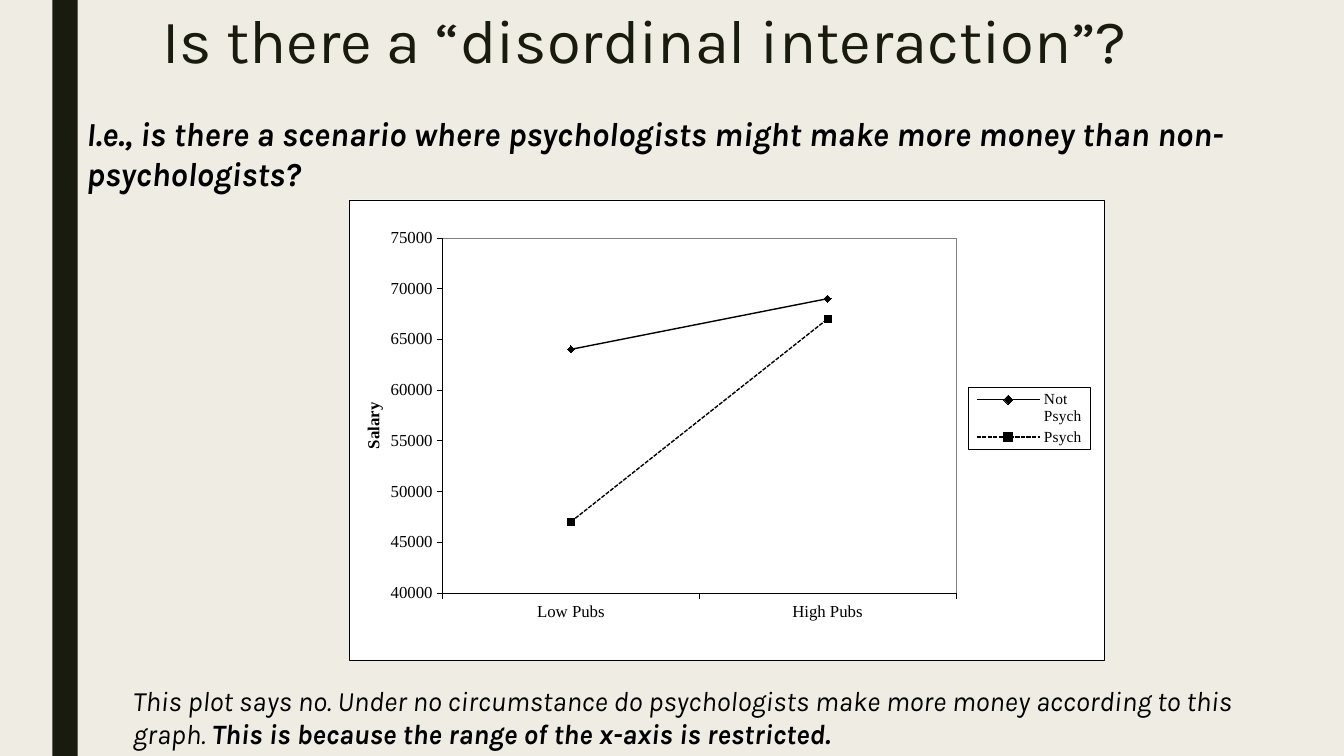
"""Build a slide on disordinal interaction with a two-line salary chart."""
from typing import NamedTuple

from lxml import etree
from pptx import Presentation
from pptx import util as u
from pptx.chart import data as cd
from pptx.dml.color import RGBColor
from pptx.enum import chart as ec
from pptx.enum import dml, shapes, text

PAPER = RGBColor(0xEF, 0xED, 0xE3)
INK = RGBColor(0x19, 0x1B, 0x0E)
BLACK = RGBColor(0, 0, 0)
SANS, SERIF = "Karla", "Times New Roman"
C = "http://schemas.openxmlformats.org/drawingml/2006/chart"
A = "http://schemas.openxmlformats.org/drawingml/2006/main"


class Box(NamedTuple):
    left: float
    top: float
    width: float
    height: float

    def place(self) -> list:
        return [u.Inches(side) for side in self]


class Run(NamedTuple):
    words: str
    bold: bool


class Note(NamedTuple):
    box: Box
    size: int
    runs: list


class Line(NamedTuple):
    name: str
    pay: tuple
    mark: ec.XL_MARKER_STYLE
    dash: dml.MSO_LINE


NOTES = [
    Note(Box(0.76, 1.07, 12.57, 0.91), 24, [
        Run("I.e., is there a scenario where psychologists might make more "
            "money than non-psychologists?", True)]),
    Note(Box(1.22, 6.73, 11.58, 0.77), 20, [
        Run("This plot says no. Under no circumstance do psychologists make "
            "more money according to this graph. ", False),
        Run("This is because the range of the x-axis is restricted.", True)]),
]
LINES = [
    Line("Not Psych", (64000, 69000), ec.XL_MARKER_STYLE.DIAMOND,
         dml.MSO_LINE.SOLID),
    Line("Psych", (47000, 67000), ec.XL_MARKER_STYLE.SQUARE,
         dml.MSO_LINE.SQUARE_DOT),
]


def apply(item: object, **props: object) -> None:
    for key, value in props.items():
        setattr(item, key, value)


def style(font: object, name: str, size: int, color: RGBColor = BLACK,
          **props: object) -> None:
    apply(font, name=name, size=u.Pt(size), **props)
    font.color.rgb = color


def paint(item: object, color: RGBColor) -> None:
    item.fill.solid()
    item.fill.fore_color.rgb = color


def write(slide: object, note: Note) -> None:
    frame = slide.shapes.add_textbox(*note.box.place()).text_frame
    frame.word_wrap = True
    for part in note.runs:
        run = frame.paragraphs[0].add_run()
        run.text = part.words
        style(run.font, SANS, note.size, bold=part.bold, italic=True)


def frame(edge: str) -> etree.ElementBase:
    return etree.fromstring(
        f'<c:spPr xmlns:c="{C}" xmlns:a="{A}"><a:solidFill>'
        f'<a:srgbClr val="FFFFFF"/></a:solidFill><a:ln w="3175"><a:solidFill>'
        f'<a:srgbClr val="{edge}"/></a:solidFill></a:ln></c:spPr>')


def layout(inner: bool = False, **parts: float) -> etree.ElementBase:
    rows = '<c:layoutTarget val="inner"/>' if inner else ""
    rows += "".join(f'<c:{key}Mode val="edge"/>' for key in "xy")
    rows += "".join(f'<c:{key} val="{val / 100:.3f}"/>'
                    for key, val in parts.items())
    return etree.fromstring(f'<c:layout xmlns:c="{C}"><c:manualLayout>{rows}'
                            f'</c:manualLayout></c:layout>')


def seat(parent: object, index: int, place: object) -> None:
    for old in parent.findall(f"{{{C}}}layout"):
        parent.remove(old)
    parent.insert(index, place)


def plot(slide: object) -> None:
    data = cd.CategoryChartData()
    data.categories = ["Low Pubs", "High Pubs"]
    for line in LINES:
        data.add_series(line.name, line.pay)
    box = Box(3.46, 1.98, 7.49, 4.57)
    chart = slide.shapes.add_chart(
        ec.XL_CHART_TYPE.LINE_MARKERS, *box.place(), data).chart
    apply(chart, has_title=False, has_legend=True)
    style(chart.font, "Arial", 12)
    chart.plots[0].vary_by_categories = False

    for row, line in zip(chart.plots[0].series, LINES):
        row.smooth = False
        apply(row.format.line, width=u.Pt(1), dash_style=line.dash)
        row.format.line.color.rgb = BLACK
        apply(row.marker, style=line.mark, size=5)
        paint(row.marker.format, BLACK)
        row.marker.format.line.color.rgb = BLACK

    pay = chart.value_axis
    for axis in (chart.category_axis, pay):
        apply(axis, has_major_gridlines=False,
              major_tick_mark=ec.XL_TICK_MARK.OUTSIDE,
              minor_tick_mark=ec.XL_TICK_MARK.NONE)
        style(axis.tick_labels.font, SERIF, 12)
        axis.format.line.width = u.Pt(0.25)
        axis.format.line.color.rgb = BLACK
    apply(pay, minimum_scale=40000, maximum_scale=75000, major_unit=5000)
    words = pay.axis_title.text_frame
    words.text = "Salary"
    style(words.paragraphs[0].runs[0].font, SERIF, 12, bold=True)

    key = chart.legend
    apply(key, position=ec.XL_LEGEND_POSITION.RIGHT, include_in_layout=False)
    style(key.font, SERIF, 11)

    root = chart.element
    head = root.find(f".//{{{C}}}valAx/{{{C}}}title")
    turn = head.find(f".//{{{A}}}bodyPr")
    turn.set("rot", "-5400000")
    turn.set("vert", "horz")
    seat(head, 1, layout(x=1.4, y=43.4))
    area = root.find(f".//{{{C}}}plotArea")
    seat(area, 0, layout(True, x=12.4, y=8.3, w=68, h=77.1))
    area.append(frame("808080"))
    panel = root.find(f".//{{{C}}}legend")
    seat(panel, 1, layout(x=82, y=40.8, w=16.2, h=13.4))
    panel.find(f"{{{C}}}overlay").addnext(frame("000000"))
    root.find(f"{{{C}}}chart").addnext(frame("000000"))


def main() -> None:
    deck = Presentation()
    apply(deck, slide_width=u.Inches(13.33), slide_height=u.Inches(7.5))
    slide = deck.slides.add_slide(deck.slide_layouts[5])
    paint(slide.background, PAPER)

    bar = slide.shapes.add_shape(shapes.MSO_SHAPE.RECTANGLE,
                                 *Box(0.52, 0, 0.25, 7.5).place())
    bar.shadow.inherit = False
    paint(bar, INK)
    bar.line.fill.background()

    title = slide.shapes.title
    spots = Box(1.51, 0.06, 10.5, 0.84).place()
    apply(title, **dict(zip(Box._fields, spots)))
    title.text_frame.text = "Is there a “disordinal interaction”?"
    apply(title.text_frame, auto_size=text.MSO_AUTO_SIZE.NONE,
          vertical_anchor=text.MSO_ANCHOR.TOP)
    para = title.text_frame.paragraphs[0]
    apply(para, alignment=text.PP_ALIGN.LEFT, line_spacing=0.89)
    style(para.runs[0].font, SANS, 44, INK)

    for note in NOTES:
        write(slide, note)
    plot(slide)
    deck.save("out.pptx")


if __name__ == "__main__":
    main()
